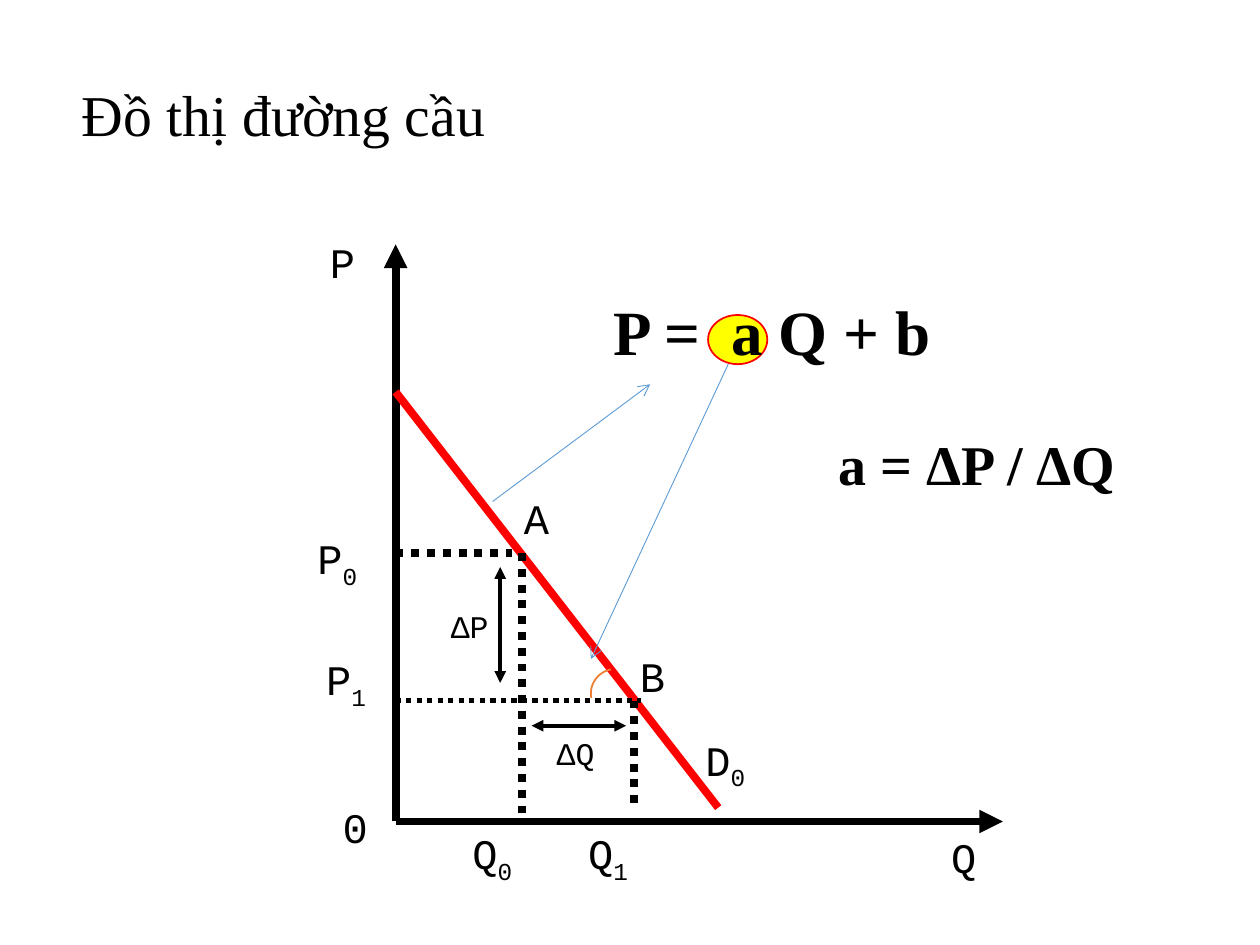
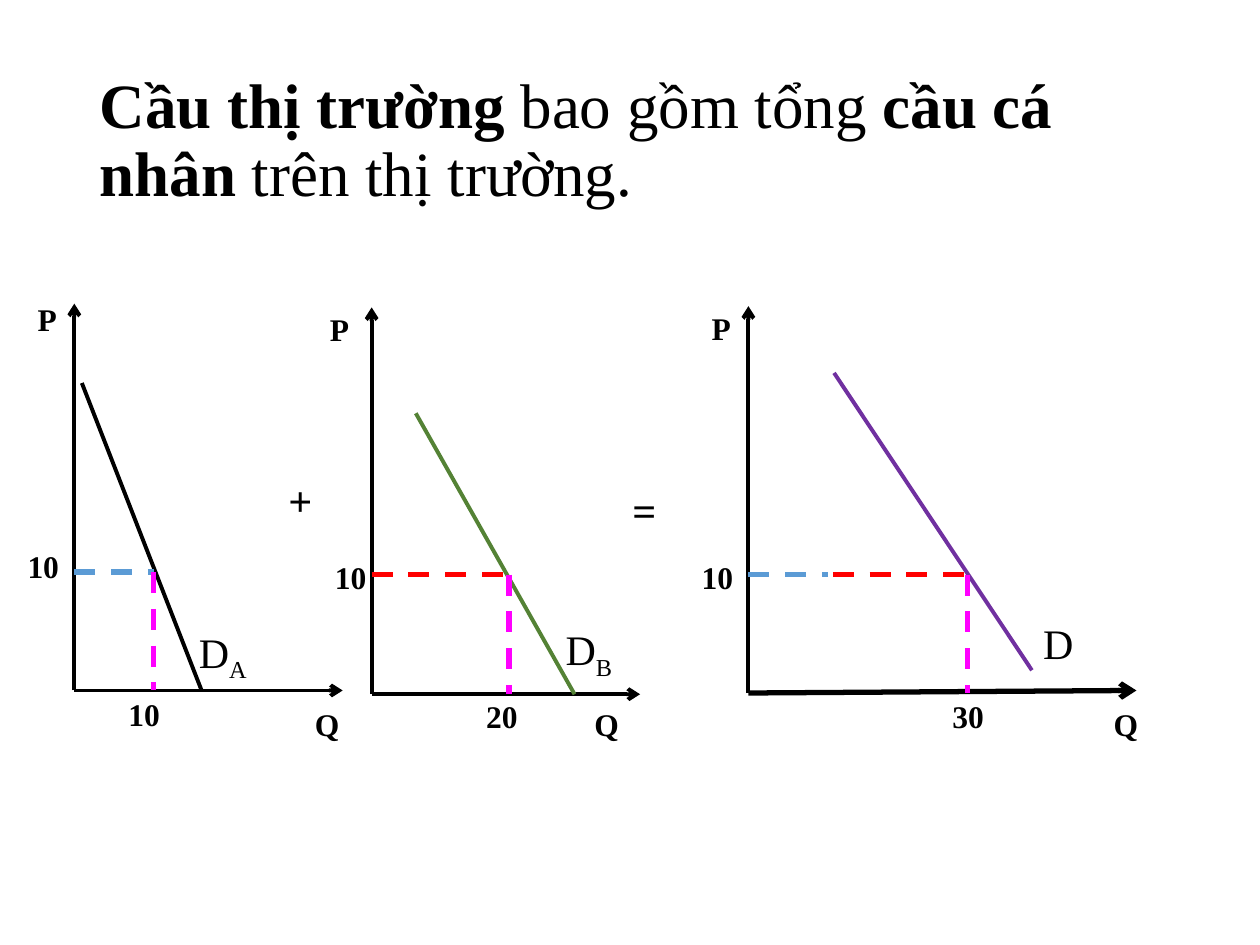
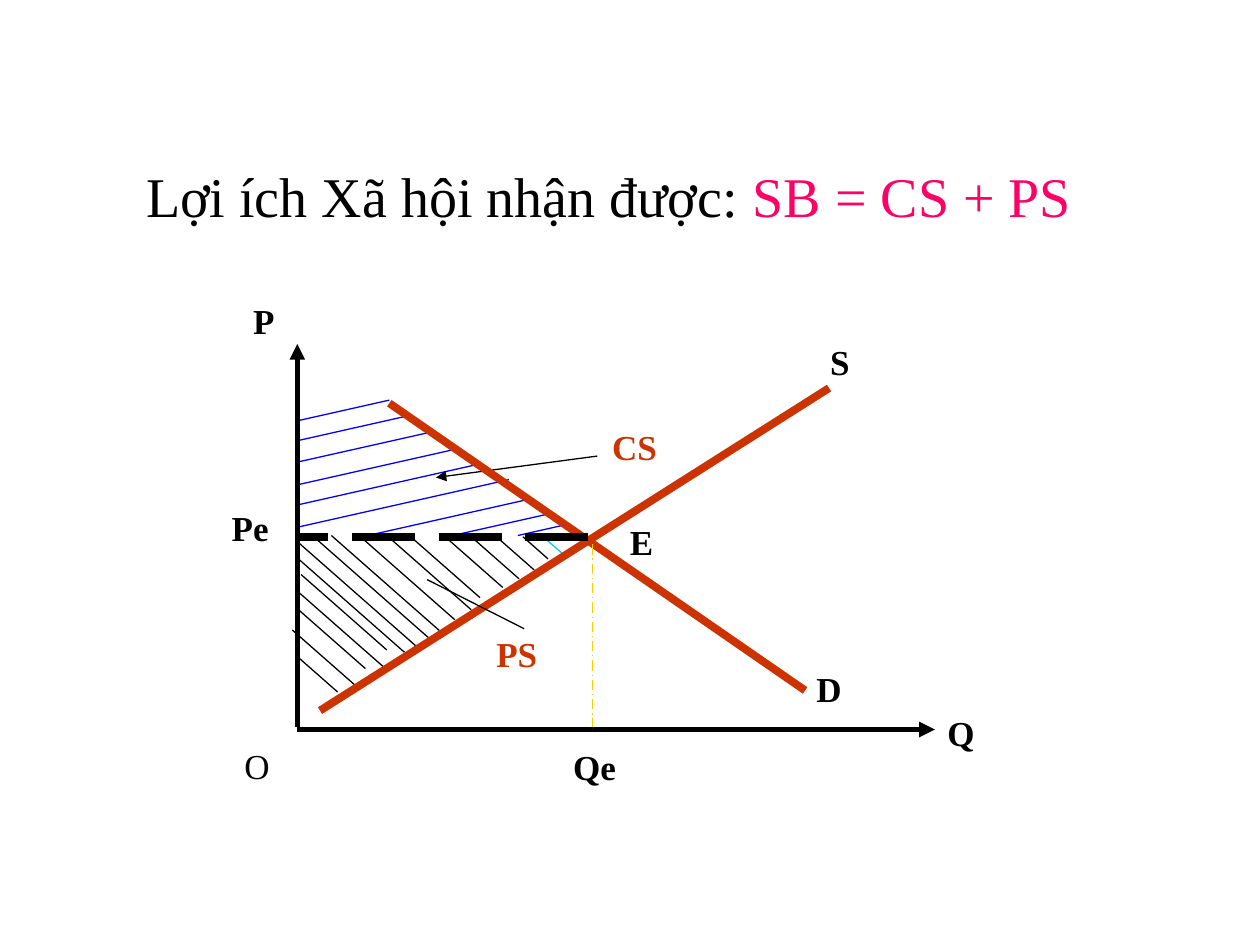
from dataclasses import dataclass
from typing import Any

from pptx import Presentation
from pptx.dml.color import RGBColor
from pptx.enum.dml import MSO_LINE
from pptx.enum.shapes import MSO_CONNECTOR, MSO_SHAPE
from pptx.enum.text import MSO_ANCHOR, MSO_AUTO_SIZE, PP_ALIGN
from pptx.oxml.ns import qn
from pptx.util import Inches, Pt

STRAIGHT = MSO_CONNECTOR.STRAIGHT
ELLIPSE, ARC = MSO_SHAPE.OVAL, MSO_SHAPE.ARC
DOT, DASH = MSO_LINE.ROUND_DOT, MSO_LINE.DASH
LONG_DASH, LONG_DASH_DOT = MSO_LINE.LONG_DASH, MSO_LINE.LONG_DASH_DOT
LEFT, MIDDLE, NO_FIT = PP_ALIGN.LEFT, MSO_ANCHOR.MIDDLE, MSO_AUTO_SIZE.NONE

BLACK = RGBColor(0x00, 0x00, 0x00)
RED = RGBColor(0xFF, 0x00, 0x00)
YELLOW = RGBColor(0xFF, 0xFF, 0x00)
SKY = RGBColor(0x5B, 0x9B, 0xD5)
ORANGE = RGBColor(0xED, 0x7D, 0x31)
MAGENTA = RGBColor(0xFF, 0x00, 0xFF)
GREEN = RGBColor(0x54, 0x82, 0x35)
PURPLE = RGBColor(0x70, 0x30, 0xA0)
RUST = RGBColor(0xCC, 0x33, 0x00)
BLUE = RGBColor(0x00, 0x00, 0xFF)
CYAN = RGBColor(0x00, 0xCC, 0xFF)
GOLD = RGBColor(0xFF, 0xCC, 0x00)
PINK = RGBColor(0xFF, 0x00, 0x66)

SERIF, MONO = "Times New Roman", "Courier New"
SUB = {"baseline": -25000}

CS_SLOPE, PS_SLOPE = 0.225, -0.88
CS_HATCH = [
    (0, 2.45, 0.73), (-0.01, 2.29, 0.92), (-0.01, 2.12, 1.1),
    (-0.01, 1.94, 1.29), (-0.01, 1.78, 1.47), (0.02, 1.61, 1.66),
    (0.56, 1.54, 1.28), (1.19, 1.53, 0.82), (1.75, 1.54, 0.41),
]
PS_HATCH = [
    (1.79, 1.53, 0.2), (1.58, 1.53, 0.3), (1.38, 1.53, 0.38),
    (1.15, 1.55, 0.48), (0.9, 1.53, 0.55), (0.71, 1.54, 0.67),
    (0.49, 1.54, 0.76), (0.27, 1.54, 0.86), (0.13, 1.53, 0.91),
    (-0.01, 1.5, 0.96), (-0.01, 1.37, 0.86), (0.03, 1.23, 0.68),
    (0.01, 1.09, 0.67), (0.01, 0.95, 0.53), (-0.04, 0.79, 0.51),
    (0.01, 0.57, 0.31),
]


def write(frame, text, size=18, font=SERIF, color=BLACK, bold=False, spacing=1.0):
    """Write a string, or a list of (string, overrides) runs, as one paragraph."""
    frame.word_wrap = True
    paragraph = frame.paragraphs[0]
    paragraph.alignment = LEFT
    paragraph.line_spacing = spacing
    for words, changes in [(text, {})] if isinstance(text, str) else text:
        run = paragraph.add_run()
        run.text = words
        run.font.name = font
        run.font.size = Pt(size)
        run.font.bold = changes.get("bold", bold)
        run.font.color.rgb = changes.get("color", color)
        for attribute in ("baseline", "spc"):
            if attribute in changes:
                run._r.get_or_add_rPr().set(attribute, str(changes[attribute]))


def add_titled_slide(deck, text, box, **style):
    """Add a title-only slide with its title in the given box."""
    slide = deck.slides.add_slide(deck.slide_layouts[5])
    title = slide.shapes.title
    title.left, title.top, title.width, title.height = map(Inches, box)
    title.text_frame.auto_size = NO_FIT
    title.text_frame.vertical_anchor = MIDDLE
    write(title.text_frame, text, **style)
    return slide


@dataclass
class Plot:
    """A graph whose points run right and up from its axis origin."""

    slide: Any
    left: float
    top: float

    def place(self, x, y):
        """Turn a point of the graph into a slide position."""
        return Inches(self.left + x), Inches(self.top - y)

    def line(self, start, end, color=BLACK, width=2.25, dash=None, head=None, tail=None):
        """Draw a straight line, with optional dash and arrowheads."""
        connector = self.slide.shapes.add_connector(
            STRAIGHT, *self.place(*start), *self.place(*end))
        connector.line.color.rgb = color
        connector.line.width = Pt(width)
        if dash:
            connector.line.dash_style = dash
        properties = connector._element.spPr
        outline = properties.find(qn("a:ln"))
        for tag, kind in (("a:headEnd", head), ("a:tailEnd", tail)):
            if kind:
                outline.append(outline.makeelement(qn(tag), {"type": kind}))
        properties.append(properties.makeelement(qn("a:effectLst"), {}))

    def label(self, text, x, y, width=0.72, height=0.5, wrap=True, **style):
        """Write a label whose top left corner is at the point."""
        box = self.slide.shapes.add_textbox(
            *self.place(x, y), Inches(width), Inches(height))
        write(box.text_frame, text, **style)
        box.text_frame.word_wrap = wrap

    def mark(self, kind, x, y, width, height, color, fill=None):
        """Draw an outlined preset shape, filled if a fill is given."""
        shape = self.slide.shapes.add_shape(
            kind, *self.place(x, y), Inches(width), Inches(height))
        shape.shadow.inherit = False
        shape.line.color.rgb = color
        shape.line.width = Pt(1)
        if fill:
            shape.fill.solid()
            shape.fill.fore_color.rgb = fill
        else:
            shape.fill.background()
        return shape


def draw_demand_curve(slide, left, top):
    """Draw the demand line with its points, changes and slope formula."""
    plot = Plot(slide, left, top)
    plot.mark(ELLIPSE, 2.48, 4.02, 0.47, 0.39, RED, YELLOW)

    for tip in ((0, 4.58), (4.82, 0)):
        plot.line((0, 0), tip, width=4.5, tail="triangle")
    plot.line((0, 3.41), (2.56, 0.11), RED, 4.5)
    for start, end, width in (
        ((0, 2.13), (0.92, 2.13), 4.5), ((1, 2.13), (1, 0), 4.5),
        ((0, 0.96), (1.95, 0.96), 3), ((1.89, 0.96), (1.89, 0.11), 4.5),
    ):
        plot.line(start, end, width=width, dash=DOT)

    for name, index, x, y in (
        ("A", "", 0.92, 2.66), ("B", "", 1.84, 1.41), ("Q", "", 4.31, -0.03),
        ("P", "", -0.62, 4.69), ("P", "0", -0.72, 2.34), ("P", "1", -0.65, 1.38),
        ("0", "", -0.52, 0.21), ("Q", "0", 0.51, 0), ("Q", "1", 1.43, 0),
        ("D", "0", 2.36, 0.74),
    ):
        runs = [(name, {}), (index, SUB)] if index else name
        plot.label(runs, x, y, size=24, font=MONO)

    for name, x, y, start, end in (
        ("ΔP", 0.34, 1.75, (0.83, 2.02), (0.83, 1.1)),
        ("ΔQ", 1.18, 0.74, (1.08, 0.76), (1.83, 0.76)),
    ):
        plot.label(name, x, y, 0.67, 0.4, font=MONO)
        plot.line(start, end, head="triangle", tail="triangle")

    formula = [("P =", {}), (" ", {"spc": 900}), ("a Q + b", {})]
    plot.label(formula, 1.63, 4.25, 2.83, 0.71, size=36, bold=True)
    plot.line((0.77, 2.54), (2.02, 3.47), SKY, 0.5, tail="arrow")
    plot.line((2.64, 3.63), (1.55, 1.29), SKY, 0.5, tail="arrow")
    angle = plot.mark(ARC, 1.55, 1.21, 0.39, 0.39, ORANGE)
    angle.rotation = 349.6
    angle._element.spPr.find(qn("a:xfrm")).set("flipH", "1")
    plot.label("a = ΔP / ΔQ", 3.42, 3.16, 3.12, 0.64, size=32, bold=True)


def draw_market_panel(slide, left, top, *, axis_tip, axis_width, curve, color,
                      point, price_lines, name, name_at, labels):
    """Draw one demand graph with its price and quantity guides."""
    plot = Plot(slide, left, top)
    plot.line((0, 0), (0, 3.07), tail="arrow")
    plot.line((0, 0), axis_tip, width=axis_width, tail="arrow")
    plot.line(*curve, color)
    x, price = point
    for start, end, guide in price_lines:
        plot.line((start, price), (end, price), guide, 3, DASH)
    plot.line(point, (x, 0), MAGENTA, 3, DASH)
    plot.label(name, *name_at, 0.61 if len(name) > 1 else 0.45, wrap=False, size=24)
    for text, label_x, label_y in labels:
        width = {"P": 0.36, "Q": 0.4}.get(text, 0.45)
        plot.label(text, label_x, label_y, width, 0.4, wrap=False, bold=True)


def draw_market_sum(slide, left, top):
    """Draw two individual demands that add up to the market demand."""
    draw_market_panel(
        slide, left, top, axis_tip=(2.13, 0), axis_width=2.25,
        curve=((0.06, 2.44), (1.01, 0)), color=BLACK, point=(0.63, 0.94),
        price_lines=[(0, 0.63, SKY)],
        name=[("D", {}), ("A", SUB)], name_at=(0.89, 0.56),
        labels=[("P", -0.39, 3.15), ("Q", 1.81, -0.07),
                ("10", -0.47, 1.19), ("10", 0.33, 0.01)])
    draw_market_panel(
        slide, left + 2.36, top + 0.03, axis_tip=(2.13, 0), axis_width=2.25,
        curve=((0.35, 2.23), (1.61, 0)), color=GREEN, point=(1.09, 0.95),
        price_lines=[(0, 1.07, RED)],
        name=[("D", {}), ("B", SUB)], name_at=(1.44, 0.61),
        labels=[("P", -0.43, 3.1), ("Q", 1.67, -0.04),
                ("10", -0.39, 1.13), ("20", 0.81, 0.03)])
    draw_market_panel(
        slide, left + 5.35, top + 0.02, axis_tip=(3.08, 0.02), axis_width=3,
        curve=((0.68, 2.54), (2.25, 0.18)), color=PURPLE, point=(1.74, 0.94),
        price_lines=[(0, 0.63, SKY), (0.67, 1.74, RED)],
        name="D", name_at=(2.24, 0.65),
        labels=[("P", -0.39, 3.1), ("Q", 2.8, -0.05),
                ("10", -0.47, 1.12), ("30", 1.52, 0.02)])
    signs = Plot(slide, left, top)
    for sign, x, y in (("+", 1.6, 1.76), ("=", 4.33, 1.68)):
        signs.label(sign, x, y, 0.39, wrap=False, size=24, bold=True)


def draw_social_benefit(slide, left, top):
    """Draw supply and demand with both surplus areas hatched."""
    plot = Plot(slide, left, top)
    plot.line((1.95, 1.53), (2.1, 1.4), CYAN, 0.75)
    for hatch, slope, color in (
        (CS_HATCH, CS_SLOPE, BLUE), (PS_HATCH, PS_SLOPE, BLACK),
    ):
        for x, y, run in hatch:
            plot.line((x, y), (x + run, y + slope * run), color, 0.75)

    plot.line((2.38, 2.17), (1.1, 2), width=0.75, tail="triangle")
    plot.line((0.73, 2.59), (4.03, 0.31), RUST, 4.5)
    plot.line((0.18, 0.15), (4.22, 2.71), RUST, 4.5)
    plot.line((1.03, 1.19), (1.8, 0.8), width=0.75)
    plot.line((0, 0), (5.06, 0), width=3, tail="triangle")
    plot.line((0, 0.02), (0, 3.06), width=3, tail="triangle")
    plot.line((2.34, 1.47), (2.34, 0.02), GOLD, 0.75, LONG_DASH_DOT)
    plot.line((2.31, 1.53), (0, 1.53), width=4.5, dash=LONG_DASH)

    for name, x, y, width in (
        ("CS", 2.4, 2.46, 0.81), ("PS", 1.48, 0.82, 0.71), ("S", 4.13, 3.14, 0.4),
        ("D", 4.02, 0.54, 0.51), ("Q", 5.06, 0.19, 1.16), ("O", -0.52, -0.07, 1.49),
        ("P", -0.45, 3.46, 0.51), ("Qe", 2.09, -0.08, 0.71),
        ("Pe", -0.62, 1.82, 0.92), ("E", 2.54, 1.71, 0.61),
    ):
        plot.label(name, x, y, width, 0.44, size=20, bold=name != "O",
                   color=RUST if name in ("CS", "PS") else BLACK)


def main():
    """Build the three slides and save the deck."""
    deck = Presentation()
    deck.slide_width, deck.slide_height = Inches(10), Inches(7.5)

    slide = add_titled_slide(deck, "Đồ thị đường cầu", (0.55, 0.31, 9, 1.25),
                             size=33, spacing=0.9)
    draw_demand_curve(slide, 3.14, 6.52)

    market_title = [
        ("Cầu thị trường ", {"bold": True}), ("bao gồm tổng ", {}),
        ("cầu cá nhân ", {"bold": True}), ("trên thị trường.", {}),
    ]
    slide = add_titled_slide(deck, market_title, (0.69, 0.4, 8.62, 1.45),
                             size=36, spacing=0.9)
    draw_market_sum(slide, 0.59, 5.48)

    benefit_title = [("Lợi ích Xã hội nhận được: ", {}),
                     ("SB = CS + PS", {"color": PINK})]
    slide = add_titled_slide(deck, benefit_title, (1.06, 1.23, 7.61, 0.64), size=32)
    draw_social_benefit(slide, 2.36, 5.79)

    deck.save("out.pptx")


if __name__ == "__main__":
    main()
